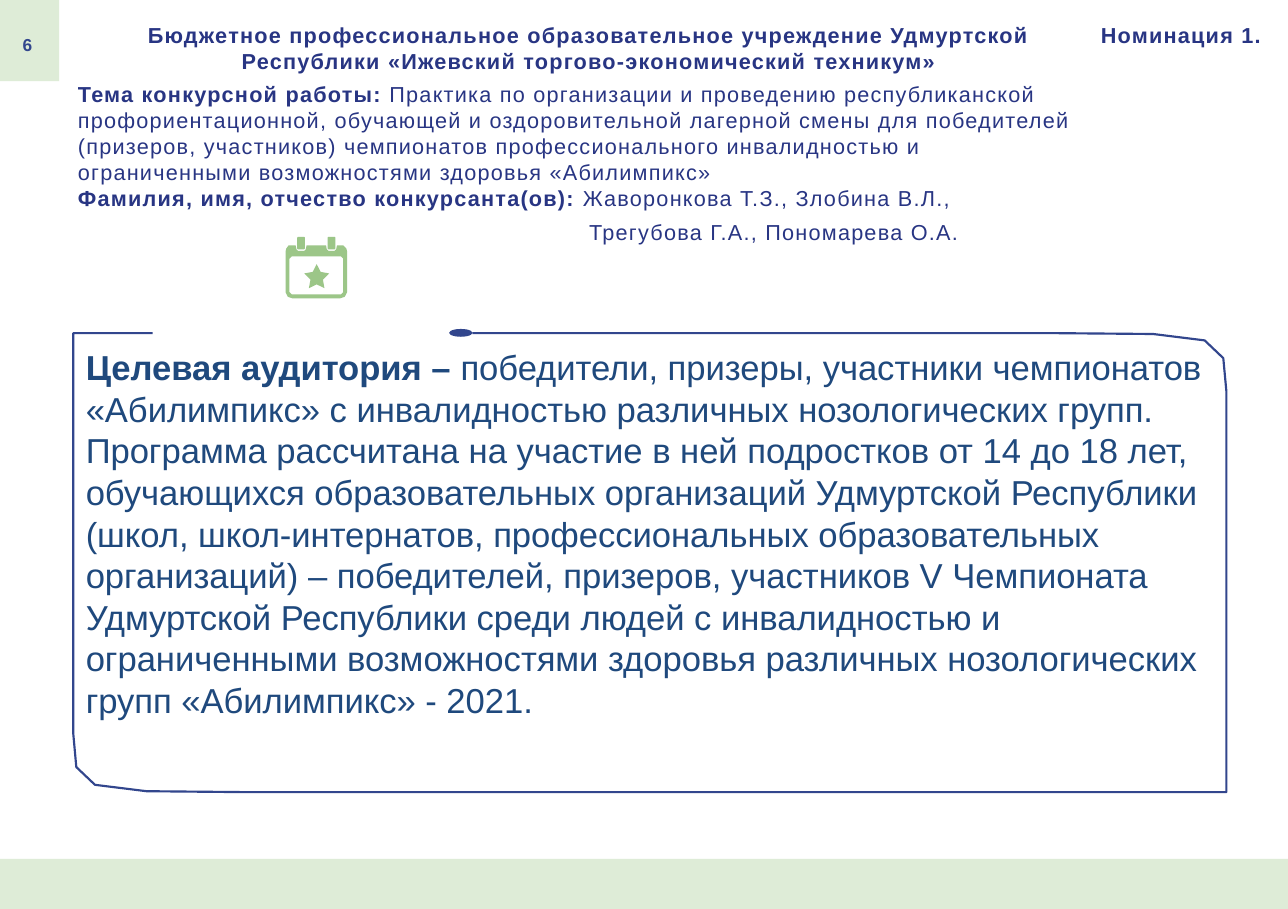
from pptx import Presentation
from pptx import util as u
from pptx.dml.color import RGBColor
from pptx.enum import shapes, text
from pptx.oxml.ns import qn
from lxml import etree

COLORS = {"mint": "DEECD7", "leaf": "6EAB50", "navy": "283583",
          "frame": "32468D", "body": "1F497D", "white": "FFFFFF"}
WIDTH, HEIGHT = u.Inches(8.26), u.Inches(5.83)


class Page:
    """Current slide and its style; lengths are percent of the slide's width and height."""
    font = "Arial"

    def __init__(self, prs):
        self.s = prs.slides.add_slide(prs.slide_layouts[1])

    def box(self, x, y, w, h):
        return [round(v * side / 100) for v, side in zip((x, y, w, h), (WIDTH, HEIGHT) * 2)]

    def paint(self, sp, fill=None, line=None, alpha=None):
        sp.shadow.inherit = False
        if fill:
            sp.fill.solid()
            sp.fill.fore_color.rgb = RGBColor.from_string(COLORS[fill])
        else:
            sp.fill.background()
        if line:
            sp.line.color.rgb = RGBColor.from_string(COLORS[line])
            sp.line.width = u.Pt(1)
        else:
            sp.line.fill.background()
        if alpha:
            color = next(sp._element.spPr.iter(qn("a:srgbClr")))
            etree.SubElement(color, qn("a:alpha"), val=str(alpha * 1000))

    def shape(self, kind, box, fill):
        self.paint(self.s.shapes.add_shape(kind, *self.box(*box)), fill)

    def outline(self, contours, scale, origin=(0, 0), **style):
        """Draw closed contours as one shape; scale is the length of one unit."""
        first, *rest = contours
        fb = self.s.shapes.build_freeform(*first[0], scale=scale)
        fb.add_line_segments(first[1:], close=True)
        for contour in rest:
            fb.move_to(*contour[0])
            fb.add_line_segments(contour[1:], close=True)
        self.paint(fb.convert_to_shape(*origin), **style)

    def set_text(self, sp, box, paragraphs, size, color, top=0.0, spacing=0):
        """Fill sp; a paragraph is (options, runs) and a run is (words, bold)."""
        sp.left, sp.top, sp.width, sp.height = self.box(*box)
        tf = sp.text_frame
        tf.word_wrap = True
        tf.auto_size = text.MSO_AUTO_SIZE.NONE
        tf.vertical_anchor = text.MSO_ANCHOR.TOP
        tf.margin_left = tf.margin_right = tf.margin_bottom = 0
        tf.margin_top = u.Inches(top)
        for i, (options, runs) in enumerate(paragraphs):
            p = tf.add_paragraph() if i else tf.paragraphs[0]
            p.alignment = options.get("align", text.PP_ALIGN.LEFT)
            p.space_before = u.Pt(options.get("before", 0))
            pPr = p._p.get_or_add_pPr()
            pPr.set("marL", str(round(options.get("indent", 0) * WIDTH / 100)))
            pPr.set("indent", "0")
            etree.SubElement(pPr, qn("a:buNone"))
            for words, bold in runs:
                r = p.add_run()
                r.text = words
                r.font.name, r.font.size, r.font.bold = self.font, u.Pt(size), bold
                r.font.color.rgb = RGBColor.from_string(COLORS[color])
                if spacing:
                    r._r.get_or_add_rPr().set("spc", str(spacing))

    def label(self, box, *args, **style):
        self.set_text(self.s.shapes.add_textbox(*self.box(*box)), box, *args, **style)

    def frame(self, left, top, right, bottom):
        """Frame whose top right and bottom left corners are cut alike."""
        cut = [(0, 6.45), (0.24, 2.75), (1.69, 0.8), (5.69, 0.1), (13.32, 0)]
        points = [(left, top), *((left + x, bottom - y) for x, y in cut),
                  (right, bottom), *((right - x, top + y) for x, y in cut)]
        self.outline([[(x * 100, y * 100) for x, y in points]],
                     (WIDTH / 10000, HEIGHT / 10000), line="frame")

    def calendar(self, x, y):
        """Calendar with a star, drawn in hundredths of an inch."""
        def rounded(l, t, r, b, c):
            return [(l + c, t), (r - c, t), (r, t + c), (r, b - c),
                    (r - c, b), (l + c, b), (l, b - c), (l, t + c)]

        body = [(2, 5.5), (6.5, 5.5), (7, 8), (8, 9), (12, 9), (13, 8), (13.5, 5.5),
                (26, 5.5), (26.5, 8), (27.5, 9), (31.5, 9), (32.5, 8), (33, 5.5),
                (37, 5.5), (39, 7.5), (39.5, 9.5), (39.5, 35.5), (38, 38.5), (35, 39.5),
                (4.5, 39.5), (1.5, 38.5), (0, 35.5), (0, 9.5), (0.5, 7.5)]
        star = [(20, 17.5), (22.5, 22.5), (28, 23.5), (24, 27.5), (25, 33),
                (20, 30.5), (15, 33), (16, 27.5), (12, 23.5), (17.5, 22.5)]
        tabs = [rounded(l, 0, l + 5, 8, 0.5) for l in (7.5, 27)]
        contours = [body, rounded(2.5, 12.5, 37, 37, 1.5), star, *tabs]
        self.outline([[(round(a * 10), round(b * 10)) for a, b in c] for c in contours],
                     u.Inches(0.001), self.box(x, y, 0, 0)[:2], fill="leaf", alpha=68)


def main():
    prs = Presentation()
    prs.slide_width, prs.slide_height = WIDTH, HEIGHT
    page = Page(prs)
    title, audience = page.s.placeholders
    kinds = shapes.MSO_SHAPE

    page.shape(kinds.RECTANGLE, (0, 0, 4.6, 8.92), "mint")
    page.label((1.75, 3.4, 1.5, 2.6), [({}, [("6", True)])], 8, "frame", top=0.02)
    page.shape(kinds.RECTANGLE, (0, 94.5, 100, 5.5), "mint")

    heading = {"size": 10, "color": "navy", "spacing": 60}
    page.set_text(title, (5.93, 1.54, 79.54, 7.2),
                  [({"align": text.PP_ALIGN.CENTER},
                    [("Бюджетное профессиональное образовательное учреждение Удмуртской "
                      "Республики «Ижевский торгово-экономический техникум»", True)])],
                  top=0.05, **heading)
    page.label((6.05, 8.9, 79.42, 18.5), [
        ({}, [("Тема конкурсной работы: ", True),
              ("Практика по организации и проведению республиканской профориентационной, "
               "обучающей и оздоровительной лагерной смены для победителей (призеров, "
               "участников) чемпионатов профессионального инвалидностью и ограниченными "
               "возможностями здоровья «Абилимпикс»", False)]),
        ({}, [("Фамилия, имя, отчество конкурсанта(ов):", True),
              (" Жаворонкова Т.З., Злобина В.Л.,", False)]),
        ({"before": 3.5, "indent": 39.7},
         [("Трегубова Г.А., Пономарева О.А.", False)])], **heading)
    page.label((85.47, 1.54, 14.04, 3.77), [({}, [("Номинация 1.", True)])],
               top=0.05, **heading)

    page.frame(5.69, 36.65, 95.22, 87.14)
    page.shape(kinds.RECTANGLE, (11.86, 34.31, 24.82, 4.29), "white")
    page.shape(kinds.OVAL, (34.87, 36.19, 1.82, 0.86), "frame")
    page.set_text(audience, (6.66, 37.91, 87.77, 41.85), [
        ({}, [("Целевая аудитория – ", True),
              ("победители, призеры, участники чемпионатов «Абилимпикс» с инвалидностью "
               "различных нозологических групп.", False)]),
        ({}, [("Программа рассчитана на участие в ней подростков от 14 до 18 лет, "
               "обучающихся образовательных организаций Удмуртской Республики (школ, "
               "школ-интернатов, профессиональных образовательных организаций) – "
               "победителей, призеров, участников V Чемпионата Удмуртской Республики "
               "среди людей с инвалидностью и ограниченными возможностями здоровья "
               "различных нозологических групп «Абилимпикс» - 2021.", False)])],
        16, "body", top=0.01)
    page.calendar(22.17, 26.05)
    prs.save("out.pptx")


if __name__ == "__main__":
    main()
